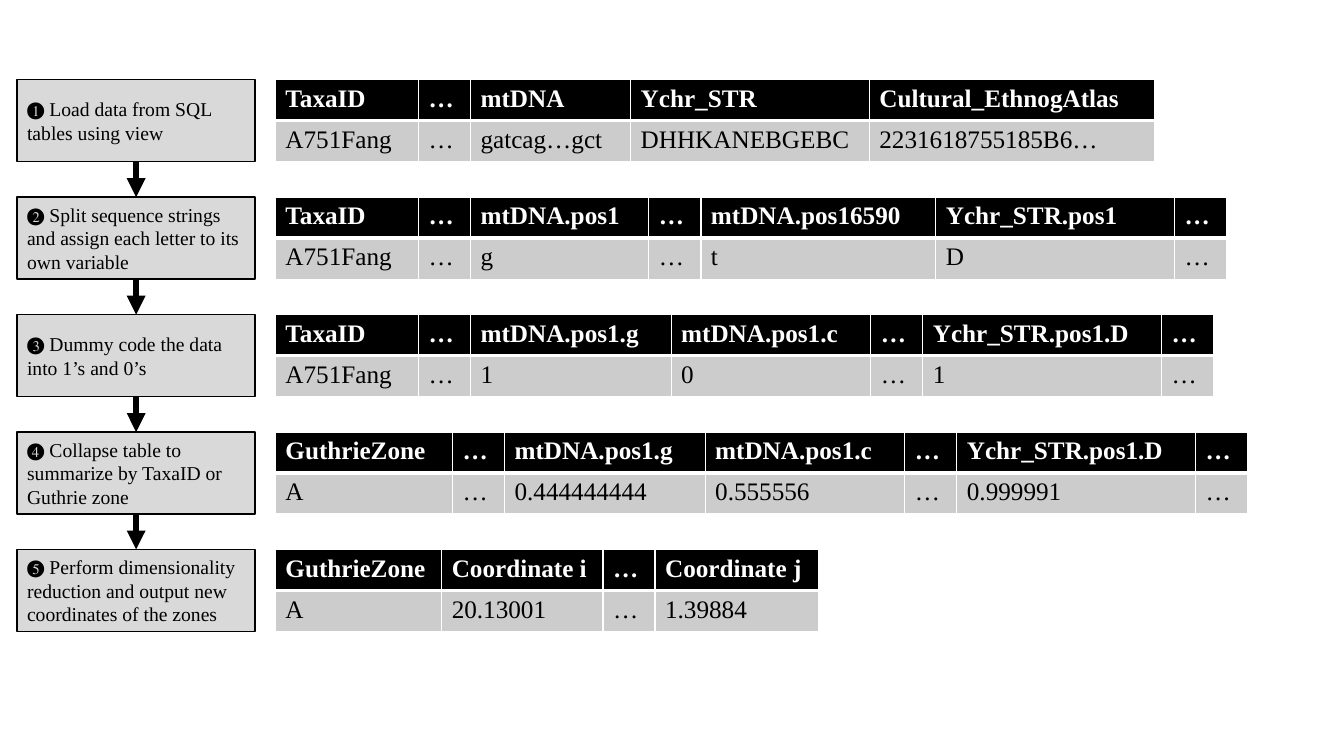
import dataclasses

import lxml.etree
import pptx
import pptx.dml.color
import pptx.enum.shapes
import pptx.enum.text
import pptx.oxml.ns
import pptx.util

Pt = pptx.util.Pt
RGB = pptx.dml.color.RGBColor.from_string
qn = pptx.oxml.ns.qn


@dataclasses.dataclass(frozen=True)
class Theme:
    font: str = "Times New Roman"
    black: str = "000000"
    white: str = "FFFFFF"
    step_fill: str = "D9D9D9"
    body_fill: str = "CCCCCC"
    step_size: int = 14
    table_size: int = 18


THEME = Theme()
TOP, PITCH, HEIGHT = 56.9, 83.9, 58.6
STEP_LEFT, STEP_WIDTH = 12.25, 170
TABLE_LEFT = 196.7
DOTS = ("…", "…", 37.2)
Y_WIDTH = 170.5

STEPS = [
    ("❶ Load data from SQL tables using view",
     [("TaxaID", "A751Fang", 102.2), DOTS, ("mtDNA", "gatcag…gct", 114.4),
      ("Ychr_STR", "DHHKANEBGEBC", Y_WIDTH),
      ("Cultural_EthnogAtlas", "2231618755185B6…", 203.5)]),
    ("❷ Split sequence strings and assign each letter to its own variable",
     [("TaxaID", "A751Fang", 102.2), DOTS, ("mtDNA.pos1", "g", 127.4), DOTS,
      ("mtDNA.pos16590", "t", 167.8), ("Ychr_STR.pos1", "D", Y_WIDTH), DOTS]),
    ("❸ Dummy code the data into 1’s and 0’s",
     [("TaxaID", "A751Fang", 102.2), DOTS, ("mtDNA.pos1.g", "1", 143.3),
      ("mtDNA.pos1.c", "0", 142.6), DOTS,
      ("Ychr_STR.pos1.D", "1", Y_WIDTH), DOTS]),
    ("❹ Collapse table to summarize by TaxaID or Guthrie zone",
     [("GuthrieZone", "A", 126.5), DOTS, ("mtDNA.pos1.g", "0.444444444", 143.3),
      ("mtDNA.pos1.c", "0.555556", 142.6), DOTS,
      ("Ychr_STR.pos1.D", "0.999991", Y_WIDTH), DOTS]),
    ("❺ Perform dimensionality reduction and output new coordinates of the zones",
     [("GuthrieZone", "A", 118.8), ("Coordinate i", "20.13001", 115.2), DOTS,
      ("Coordinate j", "1.39884", 116.5)]),
]


def write(tf, text, color, **formats):
    p = tf.paragraphs[0]
    p.alignment = pptx.enum.text.PP_ALIGN.LEFT
    r = p.add_run()
    r.text = text
    for name, value in {"name": THEME.font, **formats}.items():
        setattr(r.font, name, value)
    r.font.color.rgb = RGB(color)


def add_step(s, text, top):
    sp = s.shapes.add_shape(pptx.enum.shapes.MSO_SHAPE.RECTANGLE,
                            Pt(STEP_LEFT), Pt(top), Pt(STEP_WIDTH), Pt(HEIGHT))
    sp.shadow.inherit = False
    sp.fill.solid()
    sp.fill.fore_color.rgb = RGB(THEME.step_fill)
    sp.line.color.rgb = RGB(THEME.black)
    sp.line.width = Pt(1)
    tf = sp.text_frame
    tf.word_wrap = True
    tf.vertical_anchor = pptx.enum.text.MSO_ANCHOR.MIDDLE
    write(tf, text, THEME.black, size=Pt(THEME.step_size))
    return sp


def add_arrow(s, upper, lower):
    line = s.shapes.add_connector(pptx.enum.shapes.MSO_CONNECTOR.STRAIGHT, 0, 0, 0, 0)
    line.begin_connect(upper, 2)
    line.end_connect(lower, 0)
    line.line.color.rgb = RGB(THEME.black)
    line.line.width = Pt(4.5)
    ln = line.line._get_or_add_ln()
    lxml.etree.SubElement(ln, qn("a:tailEnd"), type="triangle")
    lxml.etree.SubElement(line._element.spPr, qn("a:effectLst"))


def set_borders(cell, **widths):
    tcPr = cell._tc.get_or_add_tcPr()
    for side, width in widths.items():
        ln = lxml.etree.SubElement(tcPr, qn("a:ln" + side), w=str(Pt(width)))
        fill = lxml.etree.SubElement(ln, qn("a:solidFill"))
        lxml.etree.SubElement(fill, qn("a:srgbClr"), val=THEME.white)


def fill_cell(cell, text, header):
    if header:
        set_borders(cell, L=1, R=1, T=1, B=3)
    else:
        set_borders(cell, L=1, R=1, T=3, B=1)
    cell.fill.solid()
    cell.fill.fore_color.rgb = RGB(THEME.black if header else THEME.body_fill)
    write(cell.text_frame, text, THEME.white if header else THEME.black,
          size=Pt(THEME.table_size), bold=header)


def add_data_table(s, columns, top):
    width = sum(column[2] for column in columns)
    table = s.shapes.add_table(2, len(columns), Pt(TABLE_LEFT), Pt(top),
                               Pt(width), Pt(HEIGHT)).table
    for row in table.rows:
        row.height = Pt(HEIGHT / 2)
    for i, (name, value, column_width) in enumerate(columns):
        table.columns[i].width = Pt(column_width)
        fill_cell(table.cell(0, i), name, True)
        fill_cell(table.cell(1, i), value, False)


def main():
    prs = pptx.Presentation()
    prs.slide_width, prs.slide_height = Pt(960), Pt(540)
    s = prs.slides.add_slide(prs.slide_layouts[6])
    boxes = []
    for i, (text, columns) in enumerate(STEPS):
        top = TOP + i * PITCH
        add_data_table(s, columns, top)
        boxes.append(add_step(s, text, top))
    for upper, lower in zip(boxes, boxes[1:]):
        add_arrow(s, upper, lower)
    prs.save("out.pptx")


if __name__ == "__main__":
    main()
